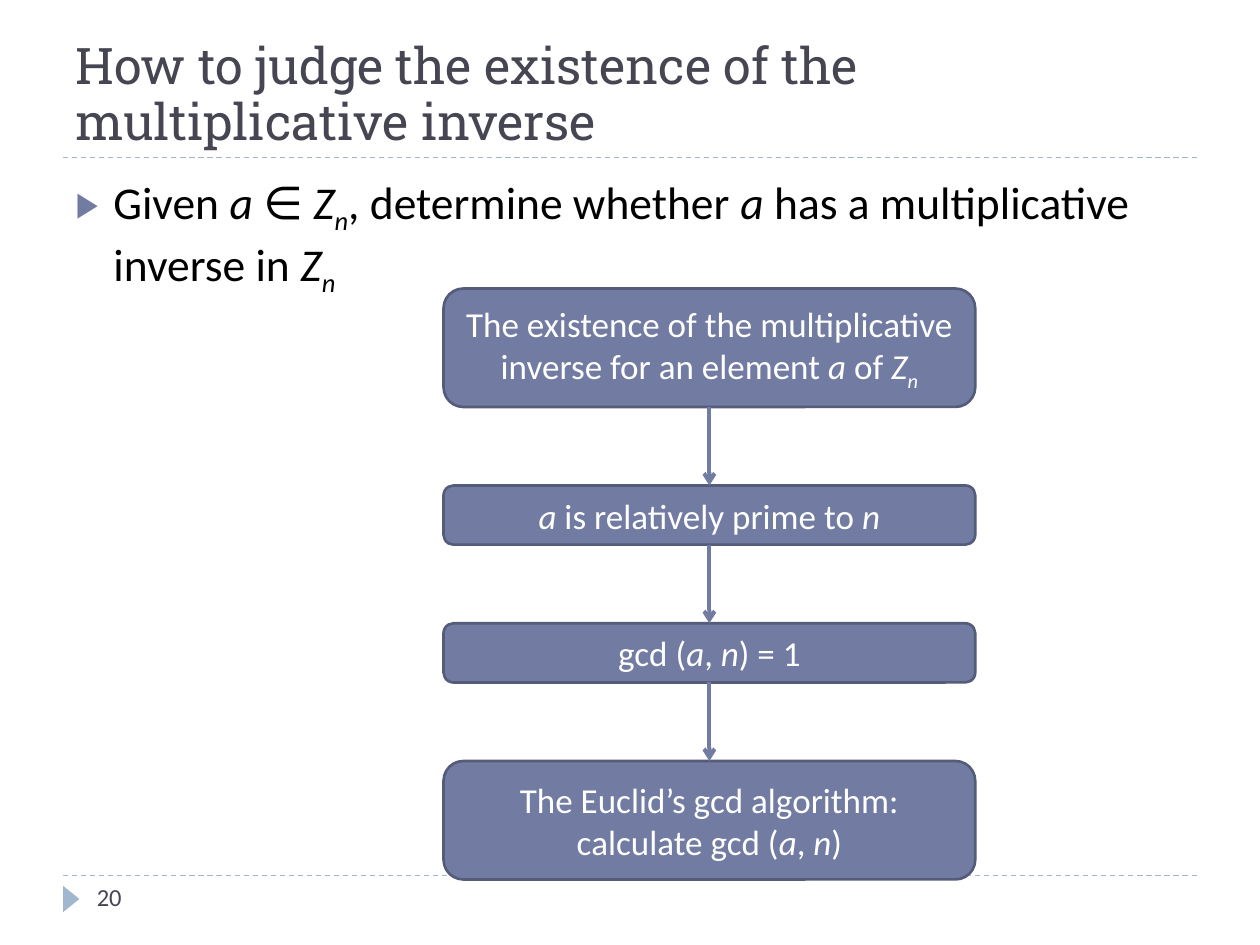
from itertools import pairwise

from lxml.etree import SubElement
from pptx import Presentation
from pptx.dml.color import RGBColor
from pptx.enum.dml import MSO_LINE_DASH_STYLE as Dash
from pptx.enum.shapes import MSO_CONNECTOR as Connector, MSO_SHAPE as Shape
from pptx.enum.text import MSO_ANCHOR as Anchor, MSO_AUTO_SIZE as AutoSize, PP_ALIGN as Align
from pptx.oxml.ns import qn
from pptx.util import Inches, Pt

INDIGO = RGBColor(0x72, 0x7C, 0xA3)
INDIGO_DARK = RGBColor(0x54, 0x5C, 0x79)
PALE_BLUE = RGBColor(0x9F, 0xB8, 0xCD)
SLATE = RGBColor(0x46, 0x46, 0x53)
BLACK = RGBColor(0, 0, 0)
WHITE = RGBColor(0xFF, 0xFF, 0xFF)

LEFT, WIDTH = 0.5, 9
HEADER_RULE, FOOTER_RULE = 1.25, 6.95

STEPS = [
    ("The existence of the multiplicative inverse for an element *a* of *Z_n*", 0.94),
    ("*a* is relatively prime to *n*", 0.47),
    ("gcd (*a*, *n*) = 1", 0.47),
    ("The Euclid’s gcd algorithm: calculate gcd (*a*, *n*)", 0.94),
]


def write(frame, text, size, color, font="Calibri", align=Align.LEFT,
          anchor=Anchor.TOP, spacing=1.0):
    frame.word_wrap = True
    frame.auto_size = AutoSize.NONE
    frame.vertical_anchor = anchor
    paragraph = frame.paragraphs[0]
    paragraph.alignment = align
    paragraph.line_spacing = spacing
    paragraph.space_before = Pt(0)
    for index, span in enumerate(text.split("*")):
        for level, part in enumerate(span.split("_")):
            if not part:
                continue
            run = paragraph.add_run()
            run.text = part
            run.font.name = font
            run.font.size = Pt(size)
            run.font.color.rgb = color
            run.font.italic = index % 2 == 1
            if level:
                run.font._element.set("baseline", "-25000")
    return paragraph


def place(shape, left, top, width, height):
    shape.left, shape.top = Inches(left), Inches(top)
    shape.width, shape.height = Inches(width), Inches(height)


def add_line(slide, start, end, color, weight):
    line = slide.shapes.add_connector(Connector.STRAIGHT, *map(Inches, start + end))
    line.line.color.rgb = color
    line.line.width = Pt(weight)
    SubElement(line._element.spPr, qn("a:effectLst"))
    return line


def add_rule(slide, top):
    rule = add_line(slide, (LEFT, top), (LEFT + WIDTH, top), PALE_BLUE, 0.75)
    rule.line.dash_style = Dash.DASH


def add_header(slide, left, top, width, height):
    title = slide.shapes.title
    place(title, left, top, width, height)
    write(title.text_frame, "How to judge the existence of the multiplicative inverse",
          28.8, SLATE, font="Roboto Slab", anchor=Anchor.BOTTOM, spacing=0.92)


def add_bullet(paragraph, indent):
    properties = paragraph._p.get_or_add_pPr()
    properties.set("marL", str(Inches(indent)))
    properties.set("indent", str(-Inches(indent)))
    bullet_color = SubElement(properties, qn("a:buClr"))
    SubElement(bullet_color, qn("a:srgbClr"), val=str(INDIGO))
    SubElement(properties, qn("a:buSzPct"), val="76000")
    SubElement(properties, qn("a:buChar"), char="▶")


def add_question(slide, left, top, width, height):
    body = slide.placeholders[1]
    place(body, left, top, width, height)
    paragraph = write(
        body.text_frame,
        "Given *a *∈ *Z_n*, determine whether *a* has a multiplicative inverse in *Z_n*",
        26, BLACK)
    add_bullet(paragraph, 0.3)


def add_footer(slide, left, top):
    marker = slide.shapes.add_shape(Shape.ISOSCELES_TRIANGLE, Inches(left - 0.04),
                                    Inches(top + 0.12), Inches(0.21), Inches(0.13))
    marker.rotation = 90
    marker.shadow.inherit = False
    marker.fill.solid()
    marker.fill.fore_color.rgb = PALE_BLUE
    marker.line.fill.background()
    number = slide.shapes.add_textbox(Inches(left + 0.17), Inches(top),
                                      Inches(2.17), Inches(0.4))
    write(number.text_frame, "20", 14, SLATE)


def add_step(slide, text, left, top, width, height):
    step = slide.shapes.add_shape(Shape.ROUNDED_RECTANGLE, Inches(left), Inches(top),
                                  Inches(width), Inches(height))
    step.shadow.inherit = False
    step.fill.solid()
    step.fill.fore_color.rgb = INDIGO
    step.line.color.rgb = INDIGO_DARK
    step.line.width = Pt(1.5)
    write(step.text_frame, text, 20, WHITE, align=Align.CENTER, anchor=Anchor.MIDDLE)


def add_flow(slide, left, top, width, height):
    gap = (height - sum(size for _, size in STEPS)) / (len(STEPS) - 1)
    spans = []
    for text, size in STEPS:
        add_step(slide, text, left, top, width, size)
        spans.append((top, top + size))
        top += size + gap
    center = left + width / 2
    for (_, start), (end, _) in pairwise(spans):
        arrow = add_line(slide, (center, start), (center, end), INDIGO, 2.25)
        SubElement(arrow.line._get_or_add_ln(), qn("a:tailEnd"), type="arrow")


def main():
    deck = Presentation()
    deck.slide_width, deck.slide_height = Inches(10), Inches(7.5)
    slide = deck.slides.add_slide(deck.slide_layouts[1])
    add_rule(slide, FOOTER_RULE)
    add_rule(slide, HEADER_RULE)
    add_header(slide, LEFT, 0.17, WIDTH, 1.08)
    add_footer(slide, LEFT, FOOTER_RULE)
    add_question(slide, LEFT, 1.33, WIDTH, 5.4)
    add_flow(slide, 3.52, 2.29, 4.22, 4.69)
    deck.save("out.pptx")


if __name__ == "__main__":
    main()
